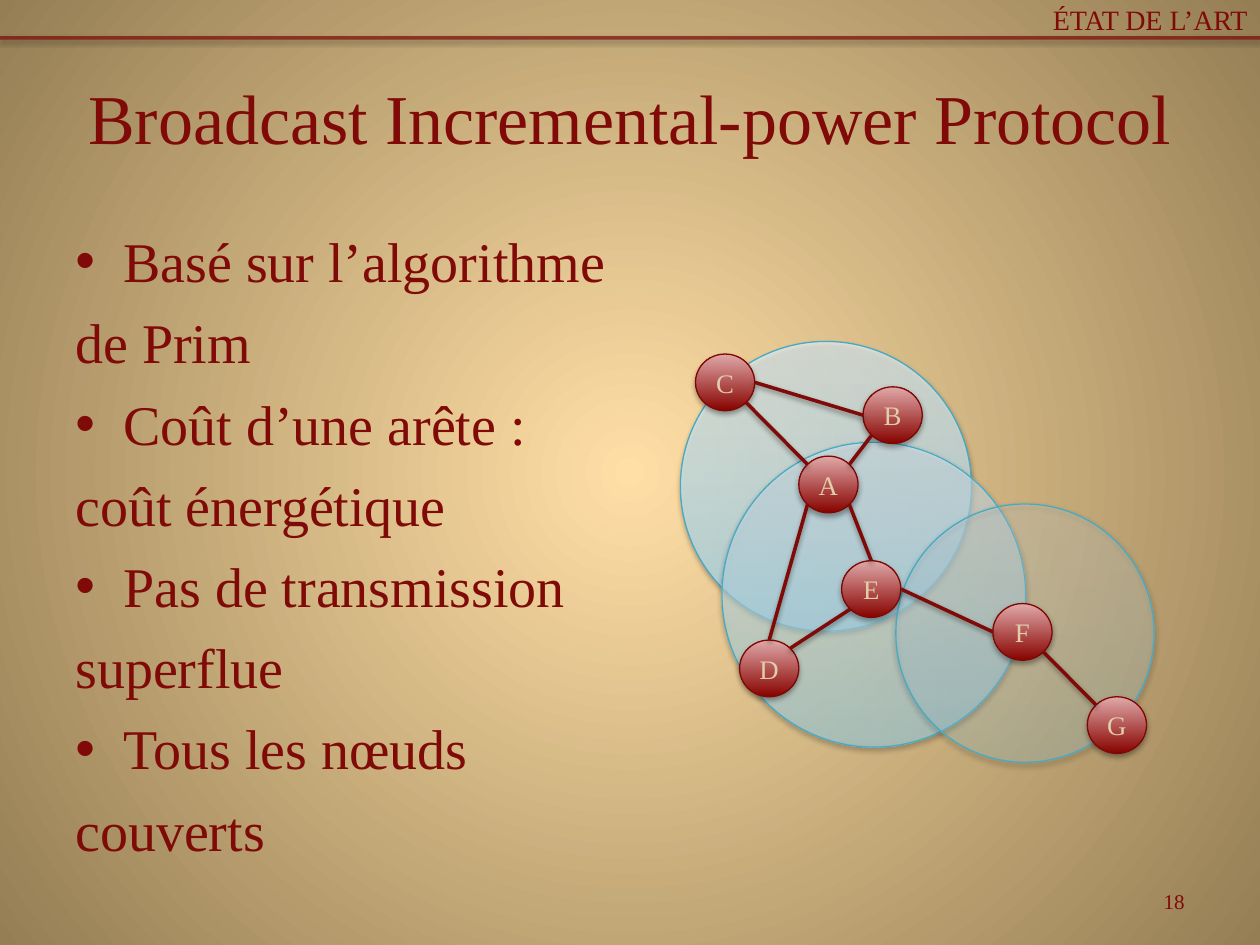
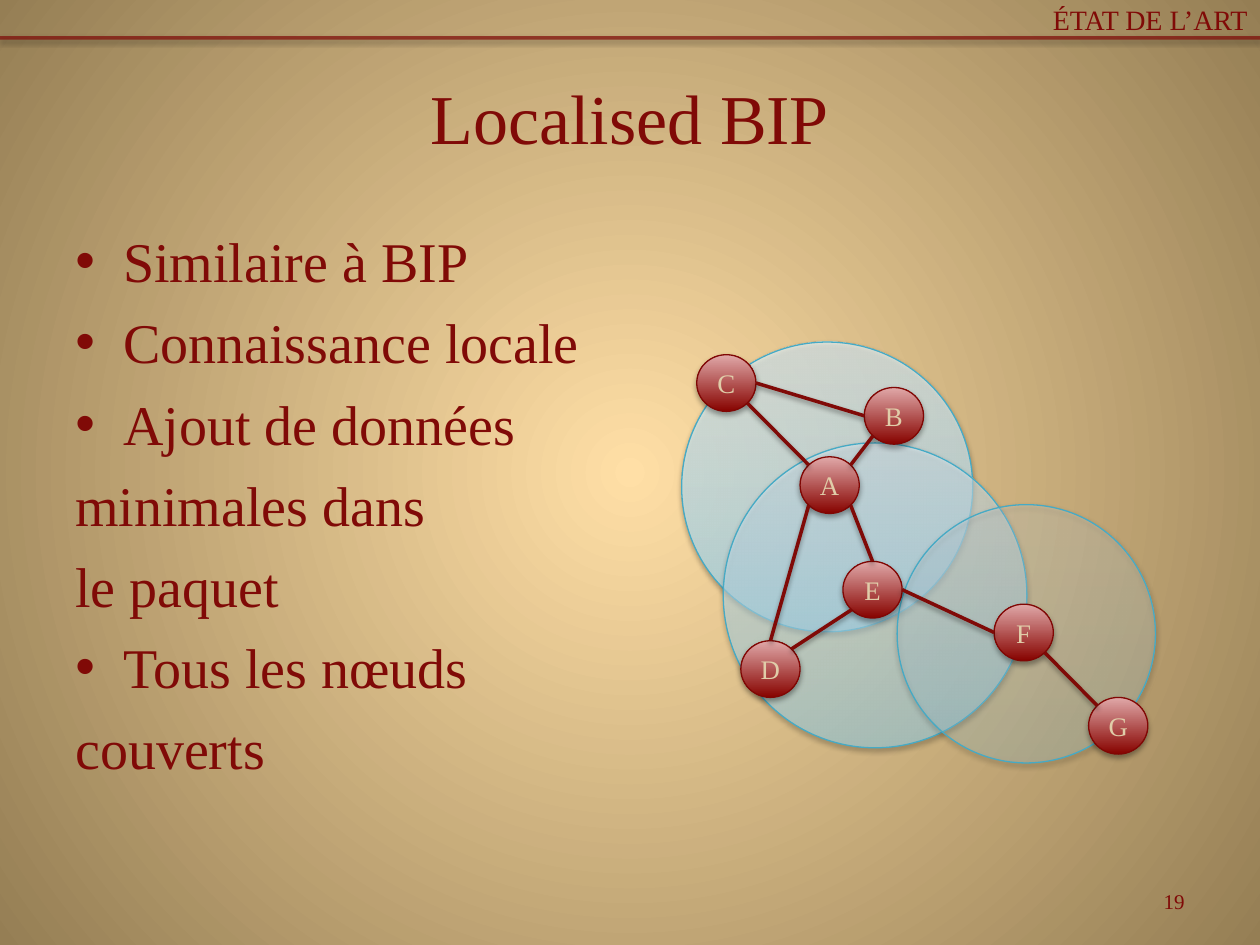
from math import sqrt
from pptx import Presentation
from pptx import util as u
from pptx.dml.color import RGBColor
from pptx.enum import shapes, text
from pptx.oxml import parse_xml
from pptx.oxml.ns import nsdecls, qn

COLORS = {
    "maroon": "800A07", "node_line": "800704", "node_dark": "870300",
    "node_light": "E0A9A9", "letter": "E0CDA9", "range_line": "46AAC5",
    "range_deep": "A7E6FF", "range_mid": "C1EDFF", "range_pale": "E7F8FF",
    "glow": "FFDFA6", "edge": "957E54", "shadow": "000000",
}
FONT = "Times New Roman"
COLUMNS, ROWS = 100, 75
MIDDLE, TOP = text.MSO_ANCHOR.MIDDLE, text.MSO_ANCHOR.TOP
LEFT, CENTER, RIGHT = text.PP_ALIGN.LEFT, text.PP_ALIGN.CENTER, text.PP_ALIGN.RIGHT

NODE_SIZE = (4.7, 4.5)
NODES = {
    "A": (63.4, 36.2), "B": (68.5, 30.7), "C": (55.2, 28.1), "D": (58.7, 50.8),
    "E": (66.8, 44.5), "F": (78.8, 47.9), "G": (86.3, 55.3),
}
RANGES = [
    (54, 27.1, 23.1, 23, 66),
    (57.3, 35.1, 24.1, 24.2, 51),
    (71.1, 40, 20.5, 20.5, 22),
]
DIAGONAL = 1 / sqrt(2)
SITES = {
    "top": (0, -1), "left": (-1, 0), "right": (1, 0),
    "top left": (-DIAGONAL, -DIAGONAL), "top right": (DIAGONAL, -DIAGONAL),
    "bottom left": (-DIAGONAL, DIAGONAL), "bottom right": (DIAGONAL, DIAGONAL),
}
LINKS = [
    ("C", "bottom right", "A", "top left"),
    ("A", "top right", "B", "bottom left"),
    ("A", "bottom right", "E", "top"),
    ("A", "bottom left", "D", "top"),
    ("D", "top right", "E", "bottom left"),
    ("E", "right", "F", "left"),
    ("B", "left", "C", "right"),
    ("F", "bottom right", "G", "top left"),
]
PAGES = [
    ("Broadcast Incremental-power Protocol", "18", 0, [
        ("Basé sur l’algorithme", "de Prim"),
        ("Coût d’une arête :", "coût énergétique"),
        ("Pas de transmission", "superflue"),
        ("Tous les nœuds", "couverts"),
    ]),
    ("Localised BIP", "19", 0.1, [
        ("Similaire à BIP",),
        ("Connaissance locale",),
        ("Ajout de données", "minimales dans", "le paquet"),
        ("Tous les nœuds", "couverts"),
    ]),
]


def rgb(name):
    return RGBColor.from_string(COLORS[name])


def gradient(stops, direction, opacity=100):
    marks = "".join(
        f'<a:gs pos="{place * 1000}"><a:srgbClr val="{COLORS[name]}">'
        f'<a:alpha val="{opacity * 1000}"/></a:srgbClr></a:gs>'
        for place, name in stops)
    return parse_xml(f'<a:gradFill {nsdecls("a")} rotWithShape="1">'
                     f'<a:gsLst>{marks}</a:gsLst>{direction}</a:gradFill>')


UPWARD = '<a:lin ang="16200000" scaled="0"/>'
RADIAL = ('<a:path path="circle"><a:fillToRect l="50000" t="50000" '
          'r="50000" b="50000"/></a:path>')


class Deck:
    def __init__(self):
        self.show = Presentation()
        self.show.slide_width, self.show.slide_height = u.Inches(10), u.Inches(7.5)
        self.slide = None
        master = self.show.slide_master
        master.background.fill.solid()
        backdrop = master.element.cSld.bg.bgPr
        backdrop.replace(backdrop.find(qn("a:solidFill")),
                         gradient([(0, "glow"), (100, "edge")], RADIAL))

    def x(self, columns):
        return round(self.show.slide_width * columns / COLUMNS)

    def y(self, rows):
        return round(self.show.slide_height * rows / ROWS)

    def box(self, left, top, width, height):
        return self.x(left), self.y(top), self.x(width), self.y(height)

    def add_words(self, paragraph, words, size, align=LEFT, color="maroon"):
        paragraph.alignment = align
        run = paragraph.add_run()
        run.text = words
        run.font.name, run.font.size = FONT, u.Pt(size)
        run.font.color.rgb = rgb(color)

    def shade(self, item, opacity, distance):
        item._element.spPr.append(parse_xml(
            f'<a:effectLst {nsdecls("a")}><a:outerShdw blurRad="{u.Pt(3.1)}" '
            f'dist="{u.Pt(distance)}" dir="5400000" rotWithShape="0">'
            f'<a:srgbClr val="{COLORS["shadow"]}"><a:alpha val="{opacity * 1000}"/>'
            '</a:srgbClr></a:outerShdw></a:effectLst>'))

    def add_slide(self, heading):
        self.slide = self.show.slides.add_slide(self.show.slide_layouts[5])
        title = self.slide.shapes.title
        title.left, title.top, title.width, title.height = self.box(5, 3, 90, 12.5)
        title.text_frame.vertical_anchor = MIDDLE
        self.add_words(title.text_frame.paragraphs[0], heading, 40, CENTER)

    def frame(self, place, anchor=MIDDLE):
        frame = self.slide.shapes.add_textbox(*self.box(*place)).text_frame
        frame.word_wrap, frame.vertical_anchor = True, anchor
        return frame

    def label(self, place, words, size, before=0):
        paragraph = self.frame(place).paragraphs[0]
        paragraph.space_before = u.Pt(before)
        self.add_words(paragraph, words, size, RIGHT)

    def bullets(self, place, points):
        frame = self.frame(place, TOP)
        paragraph = frame.paragraphs[0]
        for point in points:
            for row, words in enumerate(point):
                if paragraph.runs:
                    paragraph = frame.add_paragraph()
                paragraph.space_before = u.Pt(8)
                self.add_words(paragraph, words, 32)
                if row == 0:
                    self.mark(paragraph)

    def mark(self, paragraph):
        properties = paragraph._p.get_or_add_pPr()
        properties.set("marL", str(u.Inches(0.38)))
        properties.set("indent", str(u.Inches(-0.38)))
        for tag in ('buFont {} typeface="Arial"', 'buChar {} char="•"'):
            properties.append(parse_xml(f'<a:{tag.format(nsdecls("a"))}/>'))

    def line(self, start, end, opacity=100):
        line = self.slide.shapes.add_connector(
            shapes.MSO_CONNECTOR.STRAIGHT, self.x(start[0]), self.y(start[1]),
            self.x(end[0]), self.y(end[1]))
        line.line.color.rgb, line.line.width = rgb("maroon"), u.Pt(2)
        if opacity < 100:
            tint = line._element.spPr.find(".//" + qn("a:srgbClr"))
            tint.append(parse_xml(f'<a:alpha {nsdecls("a")} val="{opacity * 1000}"/>'))
        self.shade(line, 38, 1.6)

    def ellipse(self, place, stops, outline, opacity=100, shadow=(38, 1.6)):
        ellipse = self.slide.shapes.add_shape(shapes.MSO_SHAPE.OVAL, *self.box(*place))
        ellipse.fill.solid()
        look = ellipse._element.spPr
        look.replace(look.find(qn("a:solidFill")), gradient(stops, UPWARD, opacity))
        ellipse.line.color.rgb, ellipse.line.width = rgb(outline), u.Pt(0.75)
        self.shade(ellipse, *shadow)
        return ellipse

    def node(self, letter, place):
        frame = self.ellipse((*place, *NODE_SIZE), [(0, "node_dark"), (100, "node_light")],
                             "node_line", shadow=(35, 1.8)).text_frame
        frame.margin_left = frame.margin_right = 0
        frame.margin_top = frame.margin_bottom = 0
        frame.word_wrap, frame.vertical_anchor = False, MIDDLE
        self.add_words(frame.paragraphs[0], letter, 15.3, CENTER, "letter")

    def network(self, shift):
        for left, top, width, height, opacity in RANGES:
            self.ellipse((left + shift, top + shift / 2, width, height),
                         [(0, "range_deep"), (35, "range_mid"), (100, "range_pale")],
                         "range_line", opacity)
        nodes = {letter: (left + shift, top + shift / 2)
                 for letter, (left, top) in NODES.items()}
        for letter, place in nodes.items():
            self.node(letter, place)
        for source, leaving, target, arriving in LINKS:
            self.line(self.site(nodes[source], leaving), self.site(nodes[target], arriving))

    def site(self, place, side):
        return [start + size / 2 * (1 + reach)
                for start, size, reach in zip(place, NODE_SIZE, SITES[side])]


def main():
    deck = Deck()
    for heading, number, shift, points in PAGES:
        deck.add_slide(heading)
        deck.line((0, 3), (COLUMNS, 3), 70)
        deck.label((0, 0, COLUMNS, 3), "ÉTAT DE L’ART", 16, 4)
        deck.label((71.7, 69.5, 23.3, 4), number, 12)
        deck.network(shift)
        deck.bullets((5, 17.5, 90, 49.5), points)
    deck.show.save("out.pptx")


if __name__ == "__main__":
    main()
